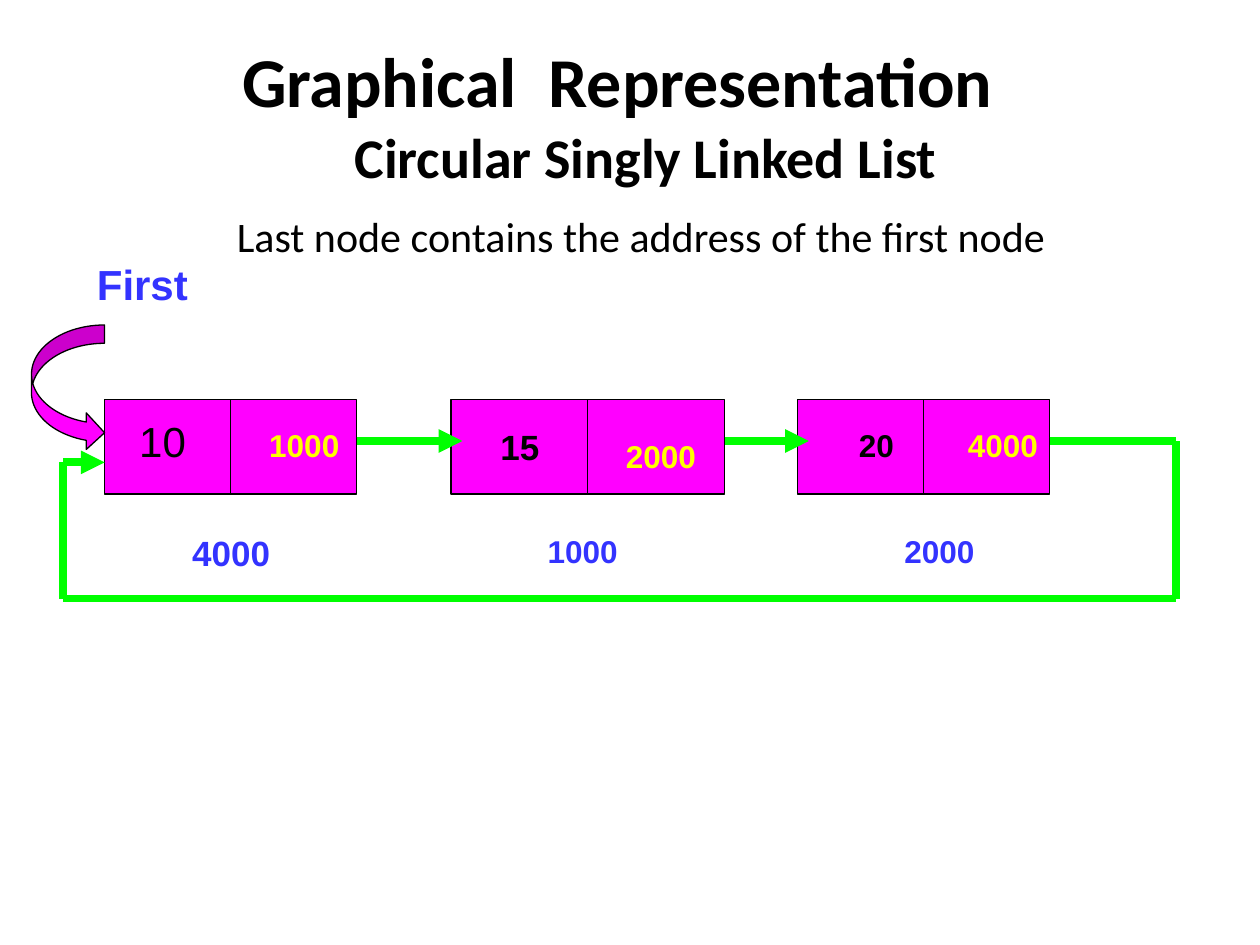
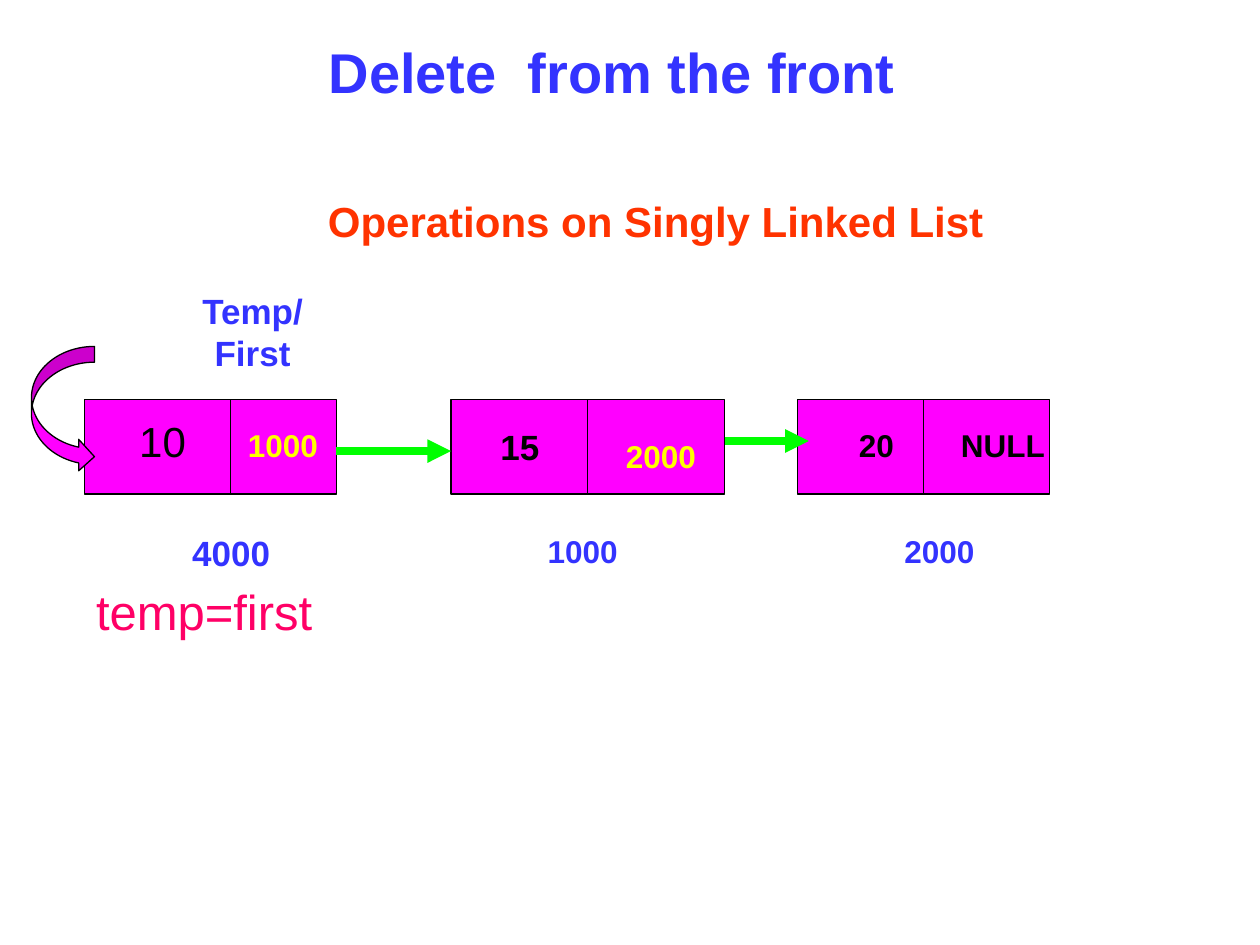
import pptx
import pptx.dml.color
import pptx.enum.shapes
import pptx.enum.text
import pptx.oxml
import pptx.oxml.ns
import pptx.util

Inches = pptx.util.Inches
Shapes = pptx.enum.shapes.MSO_SHAPE

BLACK, BLUE, YELLOW = "000000", "3333FF", "FFFF00"
MAGENTA, GREEN, RED, PINK = "FF00FF", "00FF00", "FF3300", "FF0066"

NODE_TOP, NODE_HEIGHT = 3.17, 0.75
LINK_Y = 3.5
LINK_WIDTH = 4.5
TOP_SIDE, BOTTOM_SIDE = 0, 2


def color(value):
    return pptx.dml.color.RGBColor.from_string(value)


def write_paragraph(paragraph, text, text_color, **formats):
    """Fill one centred paragraph; formats override the Arial 18 bold default."""
    paragraph.alignment = pptx.enum.text.PP_ALIGN.CENTER
    run = paragraph.add_run()
    run.text = text
    values = {"name": "Arial", "size": 18, "bold": True} | formats
    values["size"] = pptx.util.Pt(values["size"])
    for name, value in values.items():
        setattr(run.font, name, value)
    run.font.color.rgb = color(text_color)


def prepare_frame(shape):
    frame = shape.text_frame
    settings = {
        "word_wrap": True,
        "auto_size": pptx.enum.text.MSO_AUTO_SIZE.NONE,
        "vertical_anchor": pptx.enum.text.MSO_ANCHOR.TOP,
    }
    for name, value in settings.items():
        setattr(frame, name, value)
    return frame


def set_title(slide, box, text, text_color, **formats):
    title = slide.shapes.title
    for name, value in zip(("left", "top", "width", "height"), box):
        setattr(title, name, Inches(value))
    write_paragraph(prepare_frame(title).paragraphs[0], text, text_color, **formats)


def add_text(slide, box, text, text_color, **formats):
    shape = slide.shapes.add_textbox(*map(Inches, box))
    frame = prepare_frame(shape)
    write_paragraph(frame.paragraphs[0], text, text_color, **formats)
    return frame


def add_filled_shape(slide, kind, box):
    shape = slide.shapes.add_shape(kind, *map(Inches, box))
    shape.shadow.inherit = False
    shape.fill.solid()
    shape.fill.fore_color.rgb = color(MAGENTA)
    shape.line.color.rgb = color(BLACK)
    shape.line.width = pptx.util.Pt(0.75)
    return shape


def add_line(slide, start, end, line_color=GREEN, width=LINK_WIDTH, arrow=False):
    connector = slide.shapes.add_connector(
        pptx.enum.shapes.MSO_CONNECTOR.STRAIGHT, *map(Inches, (*start, *end)))
    connector.line.color.rgb = color(line_color)
    connector.line.width = pptx.util.Pt(width)
    properties = connector._element.spPr
    if arrow:
        head = pptx.oxml.parse_xml(
            f'<a:tailEnd {pptx.oxml.ns.nsdecls("a")} type="triangle"/>')
        properties.find(pptx.oxml.ns.qn("a:ln")).append(head)
    properties.append(
        pptx.oxml.parse_xml(f'<a:effectLst {pptx.oxml.ns.nsdecls("a")}/>'))
    return connector


def add_node(slide, left, width, divider_x):
    """A rectangle split into a data field and a link field."""
    node = add_filled_shape(
        slide, Shapes.RECTANGLE, (left, NODE_TOP, width, NODE_HEIGHT))
    divider = add_line(slide, (divider_x, NODE_TOP),
                       (divider_x, NODE_TOP + NODE_HEIGHT), BLACK, 0.75)
    if abs(left + width / 2 - divider_x) < 0.01:
        divider.begin_connect(node, TOP_SIDE)
        divider.end_connect(node, BOTTOM_SIDE)


def add_linked_list(slide, first_left, first_link_left, last_link, last_color):
    """The three nodes with their data, link fields and addresses."""
    for left, width, divider_x in ((first_left, 2, 1.83),
                                   (3.58, 2.17, 4.67), (6.33, 2, 7.33)):
        add_node(slide, left, width, divider_x)
    add_line(slide, (5.75, LINK_Y), (6.42, LINK_Y), arrow=True)

    # Data fields
    add_text(slide, (1, 3.25, 0.58, 0.5), "10", BLACK, size=24, bold=False)
    add_text(slide, (3.75, 3.33, 0.75, 0.43), "15", BLACK, size=20)
    add_text(slide, (6.58, 3.33, 0.75, 0.4), "20", BLACK)

    # Link fields
    add_text(slide, (first_link_left, 3.33, 0.83, 0.85), "1000", YELLOW)
    add_text(slide, (4.83, 3.42, 0.83, 0.4), "2000", YELLOW)
    add_text(slide, (7.5, 3.33, 0.92, 0.4), last_link, last_color)

    # Node addresses
    add_text(slide, (1.17, 4.17, 1.33, 0.43), "4000", BLUE, size=20)
    add_text(slide, (3.75, 4.17, 1.75, 0.4), "1000", BLUE)
    add_text(slide, (6.58, 4.17, 1.75, 0.4), "2000", BLUE)


def add_first_pointer(slide, label_box, label, label_size, arrow_box):
    add_text(slide, label_box, label, BLUE, size=label_size)
    add_filled_shape(slide, Shapes.CURVED_RIGHT_ARROW, arrow_box)


def build_circular_list(slide):
    set_title(slide, (0.36, 0.25, 9.08, 0.77), "Graphical  Representation",
              BLACK, name="Calibri", size=40)
    heading = add_text(slide, (0.75, 0.92, 8.75, 1.24),
                       "Circular Singly Linked List", BLACK, name="Calibri", size=32)
    explanation = heading.add_paragraph()
    explanation.space_before = pptx.util.Pt(12)
    write_paragraph(explanation, "Last node contains the address of the first node ",
                    BLACK, name="Calibri", size=24, bold=False)

    add_linked_list(slide, 0.83, 2, "4000", YELLOW)
    add_line(slide, (2.83, LINK_Y), (3.67, LINK_Y), arrow=True)

    # Way back from the last node to the first
    right, bottom, left, entry_y = 9.33, 4.75, 0.5, 3.67
    corners = [(8.33, LINK_Y), (right, LINK_Y), (right, bottom),
               (left, bottom), (left, entry_y), (0.83, entry_y)]
    for start, end in zip(corners, corners[1:]):
        add_line(slide, start, end, arrow=end == corners[-1])

    add_first_pointer(slide, (0.42, 2, 1.42, 0.5), "First", 24,
                      (0.25, 2.58, 0.58, 1))


def build_delete_front(slide):
    set_title(slide, (2.42, 0.25, 5, 0.63), "Delete  from the front ", BLUE, size=32)
    add_text(slide, (1.58, 1.5, 7.25, 0.5), "Operations on Singly Linked List",
             RED, size=24)

    add_linked_list(slide, 0.67, 1.83, "NULL", BLACK)
    add_line(slide, (2.67, 3.58), (3.58, 3.58), arrow=True)

    add_first_pointer(slide, (1.42, 2.25, 1.17, 0.77), "Temp/First", 20,
                      (0.25, 2.75, 0.5, 1))
    add_text(slide, (0.66, 4.57, 2.03, 0.57), "temp=first ", PINK,
             size=28, bold=False)


def main():
    presentation = pptx.Presentation()
    presentation.slide_width = Inches(10)
    presentation.slide_height = Inches(7.5)
    title_only = presentation.slide_layouts[5]
    for build in (build_circular_list, build_delete_front):
        build(presentation.slides.add_slide(title_only))
    presentation.save("out.pptx")


if __name__ == "__main__":
    main()
